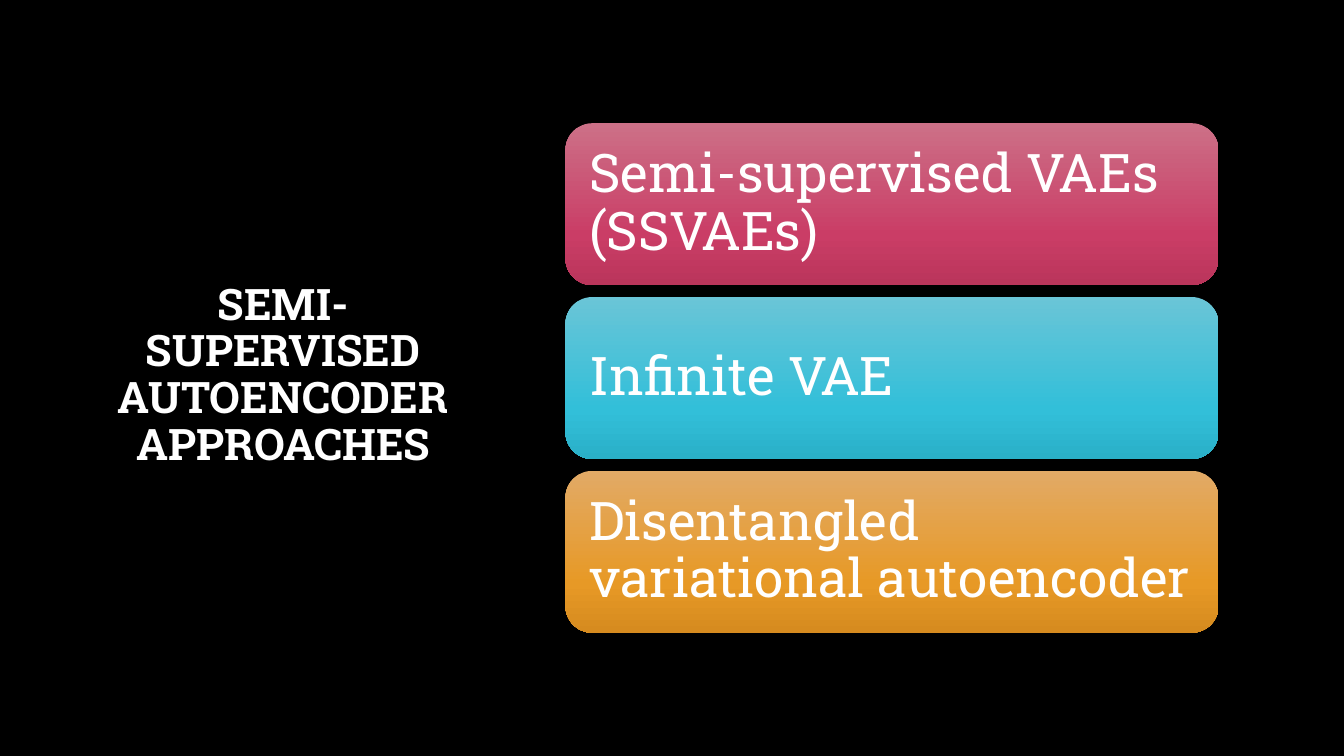
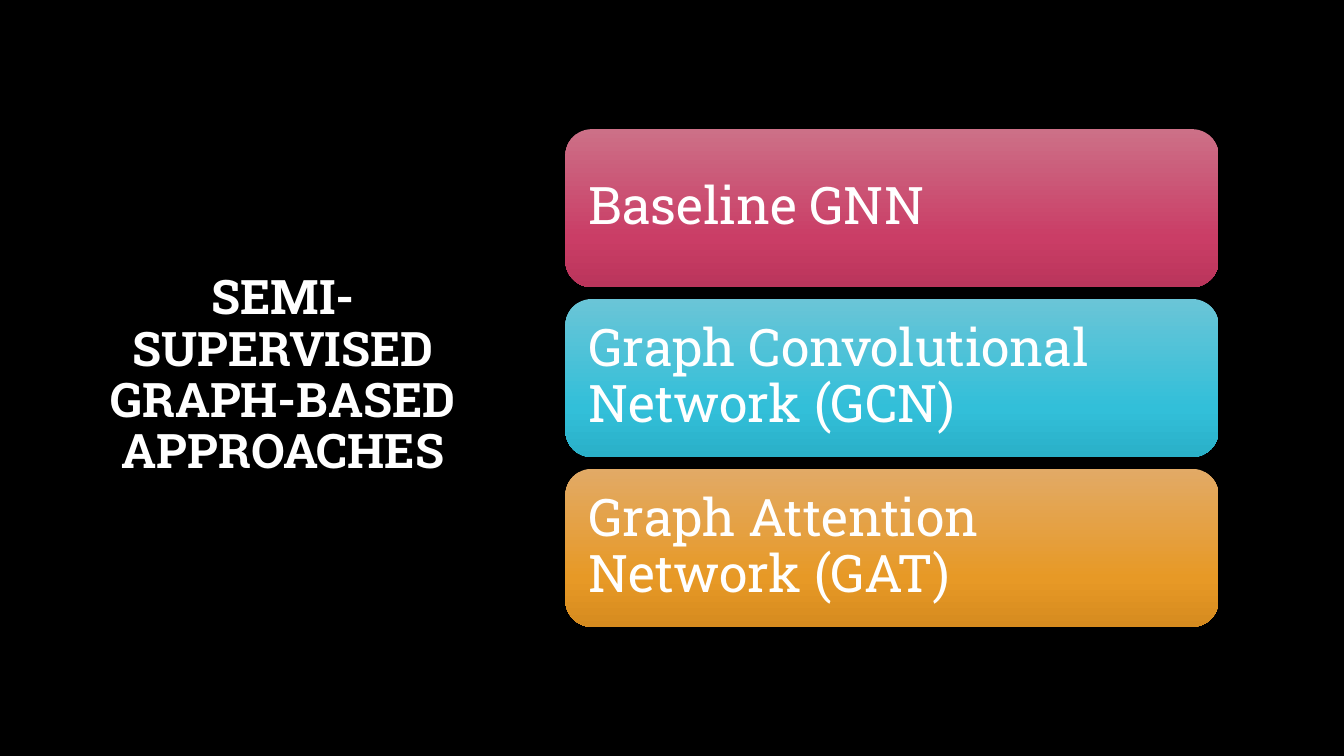
from dataclasses import dataclass

from lxml.etree import SubElement
from pptx import Presentation
from pptx.dml.color import RGBColor
from pptx.enum.shapes import MSO_SHAPE
from pptx.enum.text import MSO_ANCHOR, PP_ALIGN
from pptx.oxml.ns import qn
from pptx.slide import Slide
from pptx.text.text import TextFrame
from pptx.util import Cm, Length, Pt

BLACK = RGBColor(0x00, 0x00, 0x00)
WHITE = RGBColor(0xFF, 0xFF, 0xFF)
PINK = (RGBColor(0xCC, 0x70, 0x87), RGBColor(0xCA, 0x3D, 0x66), RGBColor(0xBA, 0x35, 0x5B))
CYAN = (RGBColor(0x6A, 0xC5, 0xD7), RGBColor(0x32, 0xBF, 0xD9), RGBColor(0x2A, 0xB0, 0xC8))
ORANGE = (RGBColor(0xE2, 0xAA, 0x66), RGBColor(0xE7, 0x99, 0x26), RGBColor(0xD6, 0x8B, 0x1F))
CARD_GRADIENTS = (PINK, CYAN, ORANGE)
GRADIENT_PERCENTS = (0, 69, 100)

FONT = "Roboto Slab"
SLIDE_WIDTH, SLIDE_HEIGHT = Cm(33.87), Cm(19.05)
TITLE_BOX = (Cm(2.08), Cm(1.7), Cm(10.11), Cm(15.57))
CARD_LEFT, CARD_WIDTH, CARD_GAP = Cm(14.25), Cm(16.46), Cm(0.3)


@dataclass(frozen=True)
class Topic:
    title: str
    title_size: int
    approaches: tuple[str, ...]
    approach_size: int
    card_height: Length
    card_margin: Length


TOPICS = (
    Topic(
        "SEMI-SUPERVISED AUTOENCODER APPROACHES", 31,
        ("Semi-supervised VAEs (SSVAEs)", "Infinite VAE", "Disentangled variational autoencoder"),
        38, Cm(4.08), Cm(0.41),
    ),
    Topic(
        "SEMI-SUPERVISED GRAPH-BASED APPROACHES", 34,
        ("Baseline GNN", "Graph Convolutional Network (GCN)", "Graph Attention Network (GAT)"),
        37, Cm(3.98), Cm(0.39),
    ),
)


def write_text(frame: TextFrame, text: str, size: int, align: PP_ALIGN, bold: bool = False) -> None:
    frame.word_wrap = True
    frame.vertical_anchor = MSO_ANCHOR.MIDDLE
    paragraph = frame.paragraphs[0]
    paragraph.text = text
    paragraph.alignment = align
    paragraph.line_spacing = 0.9
    font = paragraph.font
    font.name, font.size, font.bold = FONT, Pt(size), bold
    font.color.rgb = WHITE


def fill_downwards(shape, colors: tuple[RGBColor, ...]) -> None:
    """Fill the shape with a three-stop gradient from top to bottom."""
    shape.fill.gradient()
    shape.fill.gradient_angle = 270
    stops = shape._element.spPr.find(qn("a:gradFill")).find(qn("a:gsLst"))
    stops.clear()
    for percent, color in zip(GRADIENT_PERCENTS, colors):
        stop = SubElement(stops, qn("a:gs"), pos=str(percent * 1000))
        SubElement(stop, qn("a:srgbClr"), val=str(color))


def add_card(slide: Slide, topic: Topic, index: int) -> None:
    """Add one approach to the vertically centred stack of cards."""
    count = len(topic.approaches)
    pitch = topic.card_height + CARD_GAP
    stack_top = (SLIDE_HEIGHT - count * pitch + CARD_GAP) // 2
    card = slide.shapes.add_shape(
        MSO_SHAPE.ROUNDED_RECTANGLE,
        CARD_LEFT, stack_top + index * pitch, CARD_WIDTH, topic.card_height,
    )
    card.shadow.inherit = False
    card.line.fill.background()
    fill_downwards(card, CARD_GRADIENTS[index])
    frame = card.text_frame
    frame.margin_left = frame.margin_right = topic.card_margin
    frame.margin_top = frame.margin_bottom = topic.card_margin
    write_text(frame, topic.approaches[index], topic.approach_size, PP_ALIGN.LEFT)


def add_topic_slide(presentation, topic: Topic) -> None:
    slide = presentation.slides.add_slide(presentation.slide_layouts[6])
    slide.background.fill.solid()
    slide.background.fill.fore_color.rgb = BLACK
    title = slide.shapes.add_textbox(*TITLE_BOX)
    write_text(title.text_frame, topic.title, topic.title_size, PP_ALIGN.CENTER, bold=True)
    for index in range(len(topic.approaches)):
        add_card(slide, topic, index)


def main() -> None:
    presentation = Presentation()
    presentation.slide_width, presentation.slide_height = SLIDE_WIDTH, SLIDE_HEIGHT
    for topic in TOPICS:
        add_topic_slide(presentation, topic)
    presentation.save("out.pptx")


if __name__ == "__main__":
    main()
